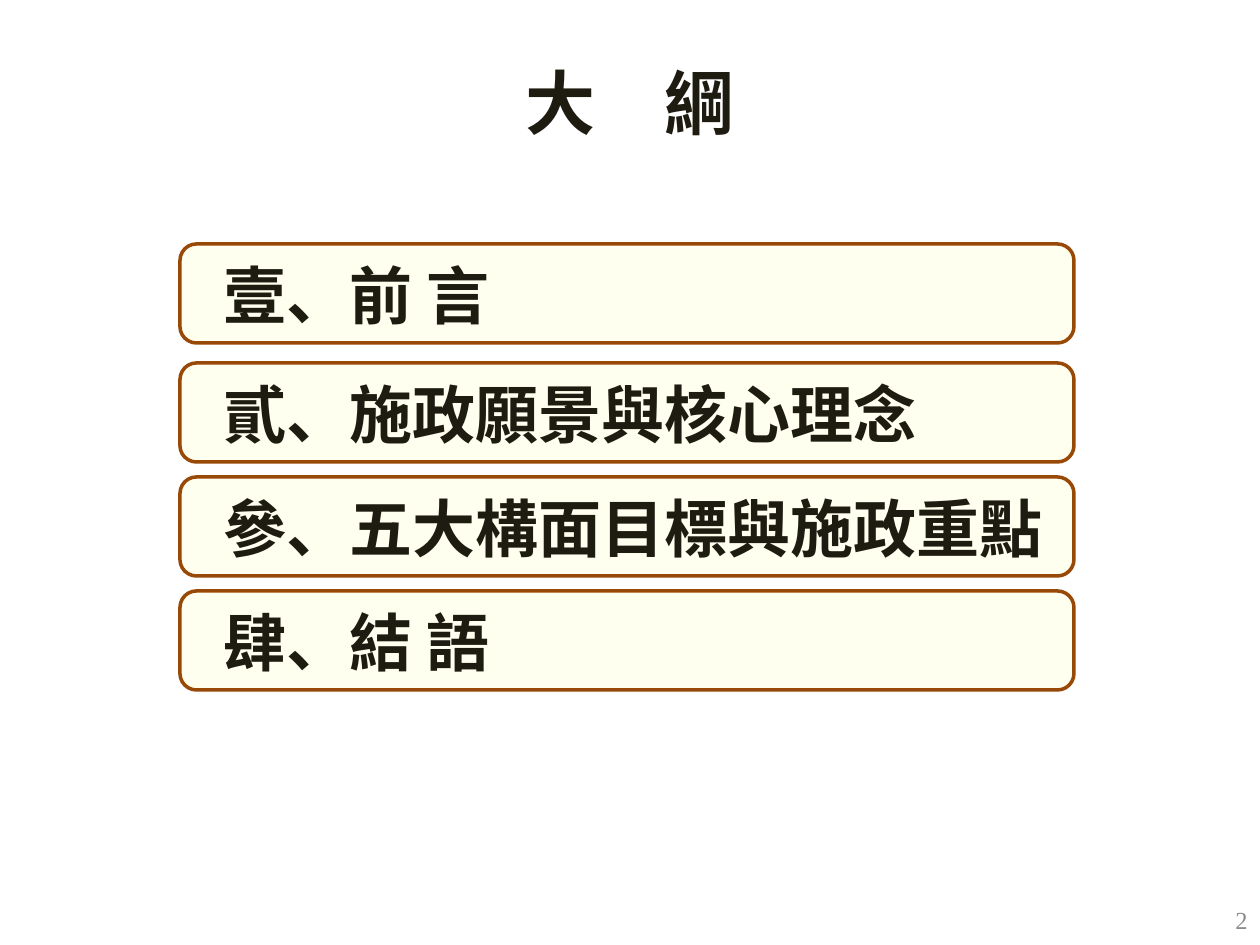
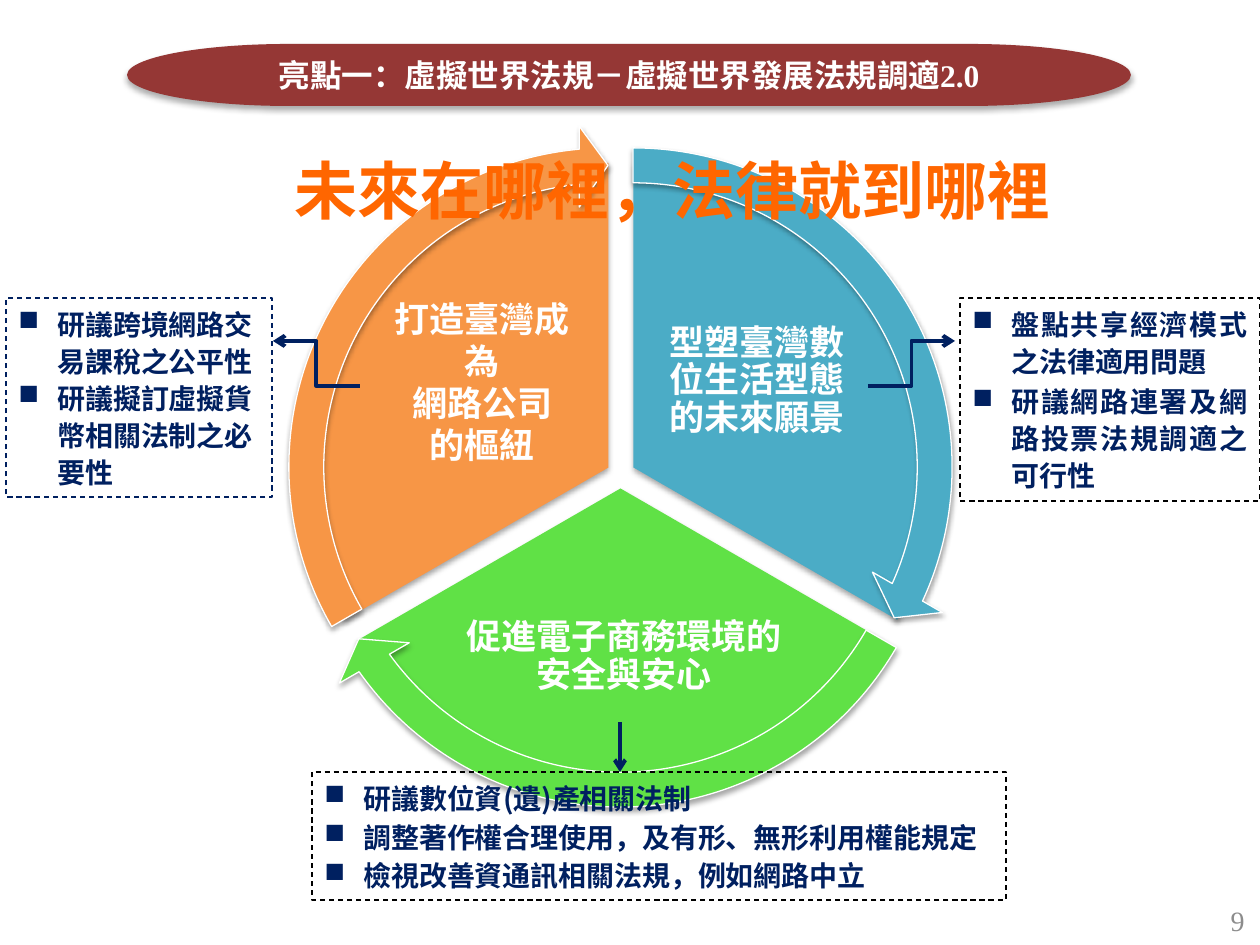
from lxml import etree
from pptx import Presentation
from pptx.dml.color import RGBColor
from pptx.enum.dml import MSO_LINE
from pptx.enum.shapes import MSO_CONNECTOR, MSO_SHAPE
from pptx.enum.text import MSO_ANCHOR, MSO_AUTO_SIZE, PP_ALIGN
from pptx.oxml.ns import qn
from pptx.util import Emu, Pt

LEFT, MID, RIGHT, JUST = PP_ALIGN.LEFT, PP_ALIGN.CENTER, PP_ALIGN.RIGHT, PP_ALIGN.JUSTIFY
TOP, CENTER = MSO_ANCHOR.TOP, MSO_ANCHOR.MIDDLE
FIXED = MSO_AUTO_SIZE.NONE
RECT, ROUND = MSO_SHAPE.RECTANGLE, MSO_SHAPE.ROUNDED_RECTANGLE
PIE, ARROW = MSO_SHAPE.PIE, MSO_SHAPE.CIRCULAR_ARROW
BANNER = MSO_SHAPE.FLOWCHART_TERMINATOR
ELBOW, STRAIGHT = MSO_CONNECTOR.ELBOW, MSO_CONNECTOR.STRAIGHT
DASH = MSO_LINE.DASH

SCALE = 914400 / 126
SANS, SERIF = "Noto Sans CJK SC", "Times New Roman"
COLORS = {
    "ink": "1E1C11", "cream": "FFFFEF", "brown": "984807", "gray": "8C8C8C",
    "white": "FFFFFF", "black": "000000", "navy": "002060", "red": "953735",
    "heading": "FF6600", "blue": "4BACC6", "green": "60E146", "orange": "F79646",
}


def px(n):
    return Emu(round(n * SCALE))


def color(name):
    return RGBColor.from_string(COLORS[name])


def style(par, size, tint, align=LEFT, face=SANS, bold=True):
    par.alignment = align
    font = par.font
    font.size, font.bold, font.name = Pt(size), bold, face
    font.color.rgb = color(tint)
    etree.SubElement(font._element, qn("a:ea"), typeface=face)


def write(shape, lines, size, tint, align=LEFT, anchor=TOP, inset=None,
          spacing=None, after=None, face=SANS, bold=True):
    frame = shape.text_frame
    frame.word_wrap, frame.auto_size = True, FIXED
    frame.vertical_anchor = anchor
    if inset is not None:
        frame.margin_left = frame.margin_right = px(inset)
        frame.margin_top = frame.margin_bottom = px(inset)
    frame.text = "\n".join(lines)
    for par in frame.paragraphs:
        style(par, size, tint, align, face, bold)
        if spacing:
            par.line_spacing = spacing
        if after:
            par.space_after = Pt(after)
    return frame


def add_text(slide, box, lines, size, tint, **look):
    return write(slide.shapes.add_textbox(*map(px, box)), lines, size, tint, **look)


def add_title(slide, box, text, size, tint, align):
    title = slide.shapes.title
    title.left, title.top, title.width, title.height = map(px, box)
    write(title, [text], size, tint, align=align, anchor=CENTER)
    tree = title._element.getparent()
    tree.append(title._element)
    return title


def add_number(slide, text, size, right):
    add_text(slide, (right - 294, 895, 294, 50), [text], size, "gray",
             align=RIGHT, anchor=CENTER, face=SERIF, bold=False)


def add_shape(slide, kind, box, fill=None, line=None, width=0.75, shadow=None):
    shape = slide.shapes.add_shape(kind, *map(px, box))
    shape.shadow.inherit = False
    if fill:
        shape.fill.solid()
        shape.fill.fore_color.rgb = color(fill)
    else:
        shape.fill.background()
    if line:
        shape.line.color.rgb = color(line)
        shape.line.width = Pt(width)
    else:
        shape.line.fill.background()
    if shadow:
        add_shadow(shape, *shadow)
    return shape


def add_shadow(shape, alpha, blur, dist):
    effects = shape._element.spPr.find(qn("a:effectLst"))
    outer = etree.SubElement(effects, qn("a:outerShdw"), blurRad=str(Pt(blur)),
                             dist=str(Pt(dist)), dir="5400000", rotWithShape="0")
    tint = etree.SubElement(outer, qn("a:srgbClr"), val=COLORS["black"])
    etree.SubElement(tint, qn("a:alpha"), val=str(alpha * 1000))


def add_bullet(par):
    props = par._p.get_or_add_pPr()
    props.set("marL", str(px(39)))
    props.set("indent", str(-px(39)))
    mark = etree.Element(qn("a:buChar"), char="■")
    props.find(qn("a:defRPr")).addprevious(mark)


def add_notes(slide, box, line, lines, align, after=None):
    shape = add_shape(slide, RECT, box, line=line)
    shape.line.dash_style = DASH
    frame = write(shape, lines, 16, "navy", align=align, spacing=1.1, after=after)
    for par in frame.paragraphs:
        add_bullet(par)


def add_arrow(slide, kind, start, end):
    link = slide.shapes.add_connector(kind, *map(px, start + end))
    link.line.color.rgb = color("navy")
    link.line.width = Pt(2.25)
    etree.SubElement(link.line._get_or_add_ln(), qn("a:tailEnd"), type="arrow")
    etree.SubElement(link._element.spPr, qn("a:effectLst"))


def add_wheel(slide):
    shadow = (35, 3.1, 1.8)
    parts = [
        ("blue", 329, 163, 270, 30, (649, 291, 217, 181), 0.9,
         ["型塑臺灣數位生活型態的未來願景"]),
        ("green", 316, 184, 30, 150, (461, 578, 326, 159), 0.9,
         ["促進電子商務環境的安全與安心"]),
        ("orange", 304, 163, 150, 270, (374, 291, 217, 181), None,
         ["打造臺灣成為", "網路公司", "的樞紐"]),
    ]
    for fill, x, y, start, end, box, spacing, lines in parts:
        slice_ = add_shape(slide, PIE, (x, y, 609, 609), fill, shadow=shadow)
        slice_.adjustments[0] = start * 0.6
        slice_.adjustments[1] = end * 0.6
        add_text(slide, box, lines, 20, "white", align=MID, anchor=CENTER,
                 inset=4, spacing=spacing)
    for fill, x, y, start, end, *_ in parts:
        ring = add_shape(slide, ARROW, (x - 38, y - 38, 684, 684), fill, "white",
                         shadow=shadow)
        bends = (0.051, 3.275, end * 0.6 - 3.275, start * 0.6, 0.059)
        for i, bend in enumerate(bends):
            ring.adjustments[i] = bend


def make_outline(deck):
    slide = deck.slides.add_slide(deck.slide_layouts[5])
    title = add_title(slide, (0, 37, 1260, 129), "大　綱", 40, "ink", MID)
    title.text_frame.paragraphs[0].space_before = Pt(12)
    add_number(slide, "2", 14, 1260)
    rows = [(244, "壹、前 言"), (363, "貳、施政願景與核心理念"),
            (477, "參、五大構面目標與施政重點"), (591, "肆、結 語")]
    for y, text in rows:
        add_shape(slide, ROUND, (180, y, 894, 99), "cream", "brown", 2)
        add_text(slide, (211, y + 6, 863, 89), [text], 36, "ink", after=12)


def make_vision(deck):
    slide = deck.slides.add_slide(deck.slide_layouts[5])
    add_wheel(slide)
    add_arrow(slide, ELBOW, (868, 386), (955, 341))
    add_title(slide, (282, 145, 789, 89), "未來在哪裡，法律就到哪裡", 36, "heading", LEFT)
    add_notes(slide, (6, 298, 266, 199), "navy",
              ["研議跨境網路交易課稅之公平性", "研議擬訂虛擬貨幣相關法制之必要性"], LEFT)
    add_notes(slide, (312, 772, 694, 128), "black",
              ["研議數位資(遺)產相關法制", "調整著作權合理使用，及有形、無形利用權能規定",
               "檢視改善資通訊相關法規，例如網路中立"], JUST, 1)
    add_notes(slide, (960, 298, 300, 203), "black",
              ["盤點共享經濟模式之法律適用問題", "研議網路連署及網路投票法規調適之可行性"],
              JUST, 2)
    add_arrow(slide, ELBOW, (360, 386), (273, 341))
    add_arrow(slide, STRAIGHT, (620, 722), (620, 772))
    banner = add_shape(slide, BANNER, (127, 44, 1004, 62), "red", shadow=(32, 3.5, 2.2))
    frame = write(banner, ["亮點一：虛擬世界法規－虛擬世界發展法規調適"], 18, "white",
                  align=MID, anchor=CENTER, inset=5)
    run = frame.paragraphs[0].add_run()
    run.text = "2.0"
    run.font.name = SERIF
    add_number(slide, "9", 16, 1257)


def main():
    deck = Presentation()
    deck.slide_width, deck.slide_height = px(1260), px(945)
    make_outline(deck)
    make_vision(deck)
    deck.save("out.pptx")


main()
